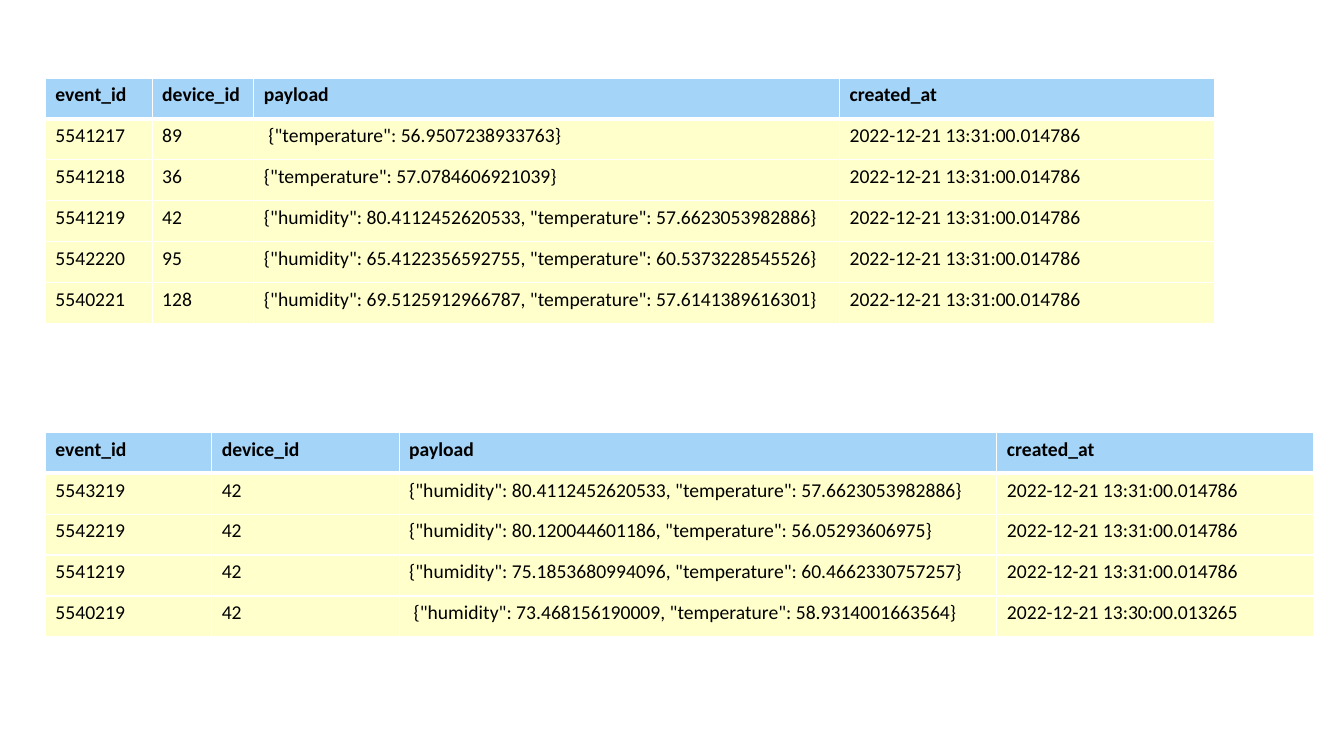
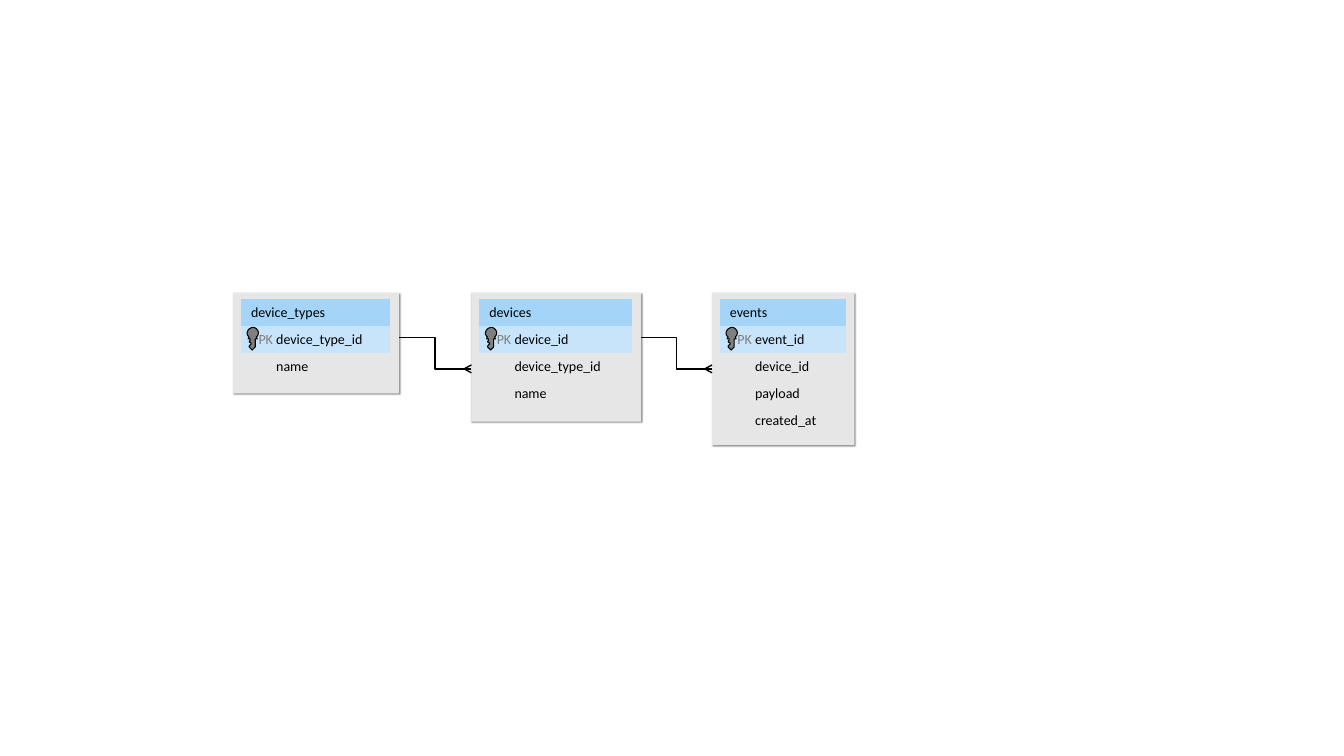
"""Build two slides on device events: sample rows and the table model."""
import dataclasses
import pptx
import pptx.dml.color
import pptx.enum.shapes
import pptx.enum.text
import pptx.oxml
import pptx.oxml.ns
import pptx.util

Pt = pptx.util.Pt


@dataclasses.dataclass(frozen=True)
class Theme:
    font: str = "Calibri"
    ink: str = "000000"
    head: str = "A4D4F7"
    key: str = "C7E4FA"
    data: str = "FFFFCC"
    panel: str = "E7E6E6"
    muted: str = "7F7F7F"
    rule: str = "FFFFFF"
    large: int = 14
    small: int = 10


KEY = [(3, 20), (6, 23), (9, 20), (9, 12), (11, 12), (10, 10),
       (12, 9, 13, 5, 11, 3), (9, 0, 6, 0, 3, 2),
       (1, 4, 0, 7, 2, 9), (2, 10, 3, 10, 3, 10),
       (2, 12), (4, 12), (4, 13), (3, 15), (5, 16), (5, 17), (3, 19)]


def trace(steps, count=8):
    dots = [steps[0]]
    for step in steps[1:]:
        if len(step) == 2:
            dots.append(step)
            continue
        start = dots[-1]
        for part in range(1, count + 1):
            t = part / count
            u = 1 - t
            dots.append(tuple(
                u ** 3 * start[i] + 3 * u * u * t * step[i]
                + 3 * u * t * t * step[i + 2] + t ** 3 * step[i + 4]
                for i in (0, 1)))
    return dots


def node(tag, **attrs):
    item = pptx.oxml.parse_xml(f'<{tag} {pptx.oxml.ns.nsdecls("a")}/>')
    for name, value in attrs.items():
        item.set(name, str(value))
    return item


def tint(color):
    item = node("a:solidFill")
    item.append(node("a:srgbClr", val=color))
    return item


class Deck:
    def __init__(self, theme):
        self.theme = theme
        self.show = pptx.Presentation()
        self.show.slide_width, self.show.slide_height = Pt(960), Pt(540)

    def slide(self):
        self.page = self.show.slides.add_slide(self.show.slide_layouts[6])

    def paint(self, fill, color):
        fill.solid()
        fill.fore_color.rgb = pptx.dml.color.RGBColor.from_string(color)

    def text(self, frame, words, size, color, bold=False):
        run = frame.paragraphs[0].add_run()
        run.text = words
        run.font.name, run.font.size, run.font.bold = self.theme.font, Pt(size), bold
        run.font.color.rgb = pptx.dml.color.RGBColor.from_string(color)

    def edge(self, cell, widths):
        props = cell._tc.get_or_add_tcPr()
        for side, width in zip("LRTB", widths):
            line = node(f"a:ln{side}", w=Pt(width))
            line.append(tint(self.theme.rule) if width else node("a:noFill"))
            props.append(line)

    def table(self, left, top, widths, height, rows, fills, size, ruled=True, indent=0):
        frame = self.page.shapes.add_table(
            len(rows), len(widths), Pt(left), Pt(top),
            Pt(sum(widths)), Pt(height * len(rows)))
        grid = frame.table
        grid.horz_banding = False
        for column, width in zip(grid.columns, widths):
            column.width = Pt(width)
        for r, row in enumerate(rows):
            grid.rows[r].height = Pt(height)
            sides = (1, 1, 3 if r == 1 else 1, 3 if r == 0 else 1)
            for c, words in enumerate(row):
                cell = grid.cell(r, c)
                self.edge(cell, sides if ruled else (0, 0, 0, 0))
                self.paint(cell.fill, fills[min(r, len(fills) - 1)])
                cell.margin_left = Pt(7.2 + (indent if r else 0))
                self.text(cell.text_frame, words, size, self.theme.ink, ruled and r == 0)

    def panel(self, left, top, width, height):
        shape = self.page.shapes.add_shape(
            pptx.enum.shapes.MSO_SHAPE.RECTANGLE, Pt(left), Pt(top), Pt(width), Pt(height))
        shape.shadow.inherit = False
        self.paint(shape.fill, self.theme.panel)
        shape.line.fill.background()
        shade = node("a:outerShdw", blurRad=Pt(1), dist=Pt(1), dir=45 * 60000,
                     algn="tl", rotWithShape=0)
        color = node("a:srgbClr", val=self.theme.ink)
        color.append(node("a:alpha", val=40000))
        shade.append(color)
        shape._element.spPr.find(pptx.oxml.ns.qn("a:effectLst")).append(shade)

    def outline(self, parts, width, fill=None):
        parts = [[(Pt(x), Pt(y)) for x, y in part] for part in parts]
        build = self.page.shapes.build_freeform(*parts[0][0])
        for part in parts:
            if part is not parts[0]:
                build.move_to(*part[0])
            build.add_line_segments(part[1:], close=bool(fill))
        shape = build.convert_to_shape()
        shape.shadow.inherit = False
        if fill:
            self.paint(shape.fill, fill)
        else:
            shape.fill.background()
        self.paint(shape.line.fill, self.theme.ink)
        shape.line.width = Pt(width)

    def label(self, left, top, width, height, words):
        box = self.page.shapes.add_textbox(Pt(left), Pt(top), Pt(width), Pt(height))
        frame = box.text_frame
        frame.margin_left = frame.margin_right = frame.margin_top = frame.margin_bottom = 0
        frame.word_wrap = False
        frame.auto_size = pptx.enum.text.MSO_AUTO_SIZE.SHAPE_TO_FIT_TEXT
        self.text(frame, words, self.theme.small, self.theme.muted)

    def model(self, left, top, width, height, names):
        look = self.theme
        self.panel(left, top, width, height)
        self.table(left + 5.6, top + 4.6, [width - 12], 19.25, [[name] for name in names],
                   [look.head, look.key, look.panel], look.small, ruled=False, indent=18)
        self.outline([[(left + 9.4 + x * 0.72, top + 24.5 + y * 0.72)
                       for x, y in trace(KEY)]], 0, look.muted)
        self.label(left + 18.2, top + 27.2, 15.2, 15.2, "PK")

    def link(self, start, end, top, drop):
        line = self.page.shapes.add_connector(
            pptx.enum.shapes.MSO_CONNECTOR.ELBOW, Pt(start), Pt(top), Pt(end), Pt(top + drop))
        self.paint(line.line.fill, self.theme.ink)
        line.line.width = Pt(1)
        line._element.spPr.append(node("a:effectLst"))
        foot = (end - 5.2, top + drop)
        self.outline([[foot, (end, foot[1] + rise)] for rise in (0, -2.8, 2.8)], 1)


THEME = Theme()
HEADS = ["event_id", "device_id", "payload", "created_at"]
TIME = "2022-12-21 13:31:00.014786"
RECENT = [
    ["5541217", "89", ' {"temperature": 56.9507238933763}', TIME],
    ["5541218", "36", '{"temperature": 57.0784606921039}', TIME],
    ["5541219", "42", '{"humidity": 80.4112452620533, "temperature": 57.6623053982886}', TIME],
    ["5542220", "95", '{"humidity": 65.4122356592755, "temperature": 60.5373228545526}', TIME],
    ["5540221", "128", '{"humidity": 69.5125912966787, "temperature": 57.6141389616301}', TIME],
]
DEVICE = [
    ["5543219", "42", '{"humidity": 80.4112452620533, "temperature": 57.6623053982886}', TIME],
    ["5542219", "42", '{"humidity": 80.120044601186, "temperature": 56.05293606975}', TIME],
    ["5541219", "42", '{"humidity": 75.1853680994096, "temperature": 60.4662330757257}', TIME],
    ["5540219", "42", ' {"humidity": 73.468156190009, "temperature": 58.9314001663564}',
     "2022-12-21 13:30:00.013265"],
]
MODELS = [
    (166.5, 118.4, 72, ["device_types", "device_type_id", "name"]),
    (336.7, 121.2, 92.2, ["devices", "device_id", "device_type_id", "name"]),
    (508.6, 101.8, 108.8, ["events", "event_id", "device_id", "payload", "created_at"]),
]

deck = Deck(THEME)
deck.slide()
for top, widths, rows in ((55.8, [76.3, 72.7, 418.3, 267.8], RECENT),
                          (308.9, [118.8, 133.9, 427, 226.4], DEVICE)):
    deck.table(32.4, top, widths, 29.2, [HEADS] + rows, [THEME.head, THEME.data], THEME.large)

deck.slide()
for left, width, height, names in MODELS:
    deck.model(left, 209, width, height, names)
for near, far in zip(MODELS, MODELS[1:]):
    deck.link(near[0] + near[1], far[0], 241.2, 22.3)

deck.show.save("out.pptx")
